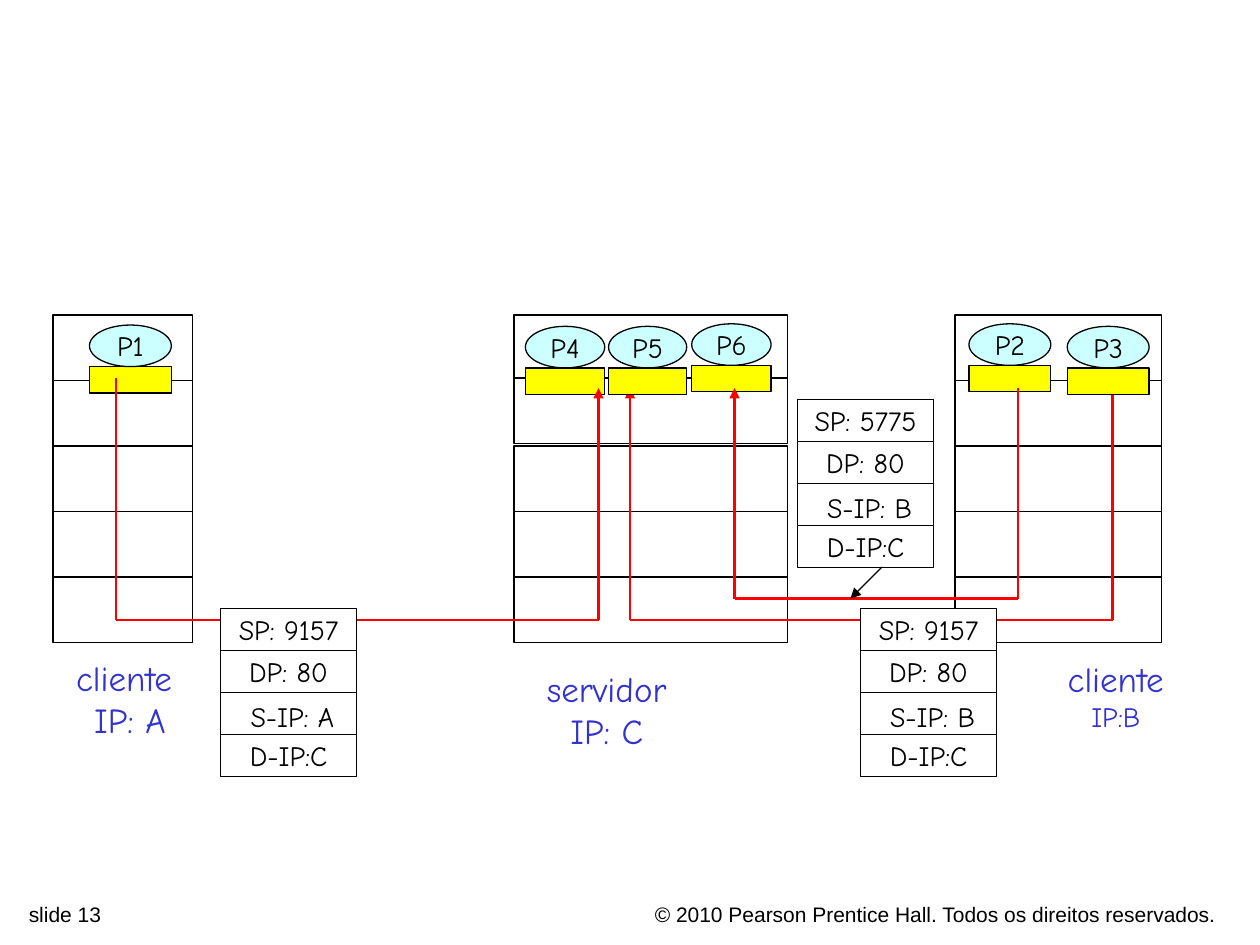
import itertools

import pptx
import pptx.dml.color
import pptx.enum.shapes
import pptx.enum.text
import pptx.oxml
import pptx.oxml.ns
import pptx.util
from pptx.util import Inches

COLORS = {
    "black": "000000",
    "white": "FFFFFF",
    "socket": "FFFF00",
    "process": "CCFFFF",
    "route": "FF0000",
    "host_label": "3333CC",
}
SHAPES = pptx.enum.shapes.MSO_SHAPE
ALIGN = pptx.enum.text.PP_ALIGN
ANCHOR = pptx.enum.text.MSO_ANCHOR
HAND_FONT = "Comic Neue"
LAYER_HEIGHT = 0.52
CELL_WIDTH, CELL_HEIGHT = 1.08, 1 / 3


def rgb(name):
    return pptx.dml.color.RGBColor.from_string(COLORS[name])


def write_lines(shape, lines, font_name, color, alignment, anchor, margins=None):
    """Write (text, size) pairs, one paragraph each."""
    frame = shape.text_frame
    frame_format = {"word_wrap": False, "vertical_anchor": anchor,
                    "margin_left": Inches(0.1), "margin_right": Inches(0.1),
                    "margin_top": Inches(0.05), "margin_bottom": Inches(0.05)}
    frame_format.update(margins or {})
    for name, value in frame_format.items():
        setattr(frame, name, value)
    for index, (text, size) in enumerate(lines):
        paragraph = frame.add_paragraph() if index else frame.paragraphs[0]
        paragraph.text = text
        paragraph.alignment = alignment
        for name, value in {"name": font_name, "size": pptx.util.Pt(size)}.items():
            setattr(paragraph.font, name, value)
        paragraph.font.color.rgb = rgb(color)


def add_outlined(slide, kind, left, top, width, height, fill):
    shape = slide.shapes.add_shape(
        kind, Inches(left), Inches(top), Inches(width), Inches(height))
    shape.shadow.inherit = False
    shape.fill.solid()
    shape.fill.fore_color.rgb = rgb(fill)
    shape.line.color.rgb = rgb("black")
    shape.line.width = pptx.util.Pt(0.75)
    return shape


def add_text(slide, left, top, width, height, lines, color, font_name=HAND_FONT,
             alignment=ALIGN.CENTER, wrap=False):
    box = slide.shapes.add_textbox(
        Inches(left), Inches(top), Inches(width), Inches(height))
    write_lines(box, lines, font_name, color, alignment, ANCHOR.TOP,
                {"word_wrap": wrap})


def add_segment(slide, start, end, color, width, arrow=False):
    connector = slide.shapes.add_connector(
        pptx.enum.shapes.MSO_CONNECTOR.STRAIGHT,
        *(Inches(value) for value in (*start, *end)))
    connector.line.color.rgb = rgb(color)
    connector.line.width = pptx.util.Pt(width)
    if arrow:
        line = connector.line._get_or_add_ln()
        line.append(pptx.oxml.parse_xml(
            f'<a:tailEnd {pptx.oxml.ns.nsdecls("a")} type="triangle"/>'))
    connector._element.spPr.append(pptx.oxml.parse_xml(
        f'<a:effectLst {pptx.oxml.ns.nsdecls("a")}/>'))


def add_route(slide, points):
    """Red path from a client socket to a server socket, arrow at the end."""
    segments = list(itertools.pairwise(points))
    for start, end in segments:
        add_segment(slide, start, end, "route", 1.5, arrow=end == points[-1])


def add_host(slide, left, top, width, second_layer_shift=0):
    """Stack of five protocol layers."""
    for layer in range(5):
        shift = second_layer_shift if layer == 1 else 0
        add_outlined(slide, SHAPES.RECTANGLE, left, top + layer * LAYER_HEIGHT + shift,
                     width, LAYER_HEIGHT, "white")


def add_process(slide, left, top, width, name):
    """Process ellipse standing on its socket."""
    add_outlined(slide, SHAPES.RECTANGLE, left, top + 0.33, width, 0.21, "socket")
    ellipse = add_outlined(slide, SHAPES.OVAL, left, top, width, 0.33, "process")
    write_lines(ellipse, [(name, 16)], HAND_FONT, "black", ALIGN.CENTER, ANCHOR.MIDDLE)


def add_segment_header(slide, left, top, source_port, source_ip):
    """Ports and addresses carried by one connection."""
    fields = [f"SP: {source_port}", "DP: 80", f"S-IP: {source_ip}", "D-IP:C"]
    for row, field in enumerate(fields):
        cell = add_outlined(slide, SHAPES.RECTANGLE, left, top + row * CELL_HEIGHT,
                            CELL_WIDTH, CELL_HEIGHT, "white")
        # The source address sits slightly right of and below the centre
        margins = {}
        if row == 2:
            margins = {"margin_left": Inches(0.16), "margin_top": Inches(0.09)}
        write_lines(cell, [(field, 16)], HAND_FONT, "black", ALIGN.CENTER,
                    ANCHOR.MIDDLE, margins)


def add_footer(slide, top):
    for left, width, text, alignment in [
        (0.13, 3.52, "slide 13", ALIGN.LEFT),
        (4.64, 5.11, "© 2010 Pearson Prentice Hall. Todos os direitos reservados.",
         ALIGN.RIGHT),
    ]:
        add_text(slide, left, top, width, 0.24, [(text, 12)], "black", "Arial",
                 alignment, wrap=True)


def main():
    presentation = pptx.Presentation()
    presentation.slide_width = Inches(10)
    presentation.slide_height = Inches(7.5)
    slide = presentation.slides.add_slide(presentation.slide_layouts[6])
    add_footer(slide, 7.11)

    # Hosts and their names
    add_host(slide, 0.42, 2.5, 1.11)
    add_host(slide, 7.58, 2.5, 1.64)
    add_host(slide, 4.08, 2.5, 2.17, second_layer_shift=-0.02)
    add_text(slide, 0.5, 5.16, 0.97, 0.77, [("cliente", 20), (" IP: A", 20)], "host_label")
    add_text(slide, 4.24, 5.25, 1.15, 0.77, [("servidor", 20), ("IP: C", 20)], "host_label")
    add_text(slide, 8.37, 5.17, 0.97, 0.7, [("cliente", 20), ("IP:B", 16)], "host_label")

    # Processes below the routes
    add_process(slide, 0.71, 2.58, 0.65, "P1")
    add_process(slide, 7.69, 2.57, 0.65, "P2")
    add_process(slide, 4.17, 2.59, 0.63, "P4")

    # Connections using source port 9157
    add_route(slide, [(0.92, 3), (0.92, 4.92), (4.75, 4.92), (4.75, 3.08)])
    add_route(slide, [(8.83, 3), (8.83, 4.92), (5, 4.92), (5, 3.08)])
    add_segment_header(slide, 1.75, 4.83, 9157, "A")
    add_segment_header(slide, 6.83, 4.83, 9157, "B")

    # Processes covering the route ends
    add_process(slide, 4.83, 2.59, 0.62, "P5")
    add_process(slide, 5.49, 2.57, 0.63, "P6")
    add_process(slide, 8.47, 2.59, 0.65, "P3")

    # Connection using source port 5775
    add_route(slide, [(8.08, 3.08), (8.08, 4.75), (5.83, 4.75), (5.83, 3.08)])
    add_segment_header(slide, 6.33, 3.17, 5775, "B")
    add_segment(slide, (7, 4.5), (6.75, 4.75), "black", 0.75, arrow=True)

    presentation.save("out.pptx")


if __name__ == "__main__":
    main()
